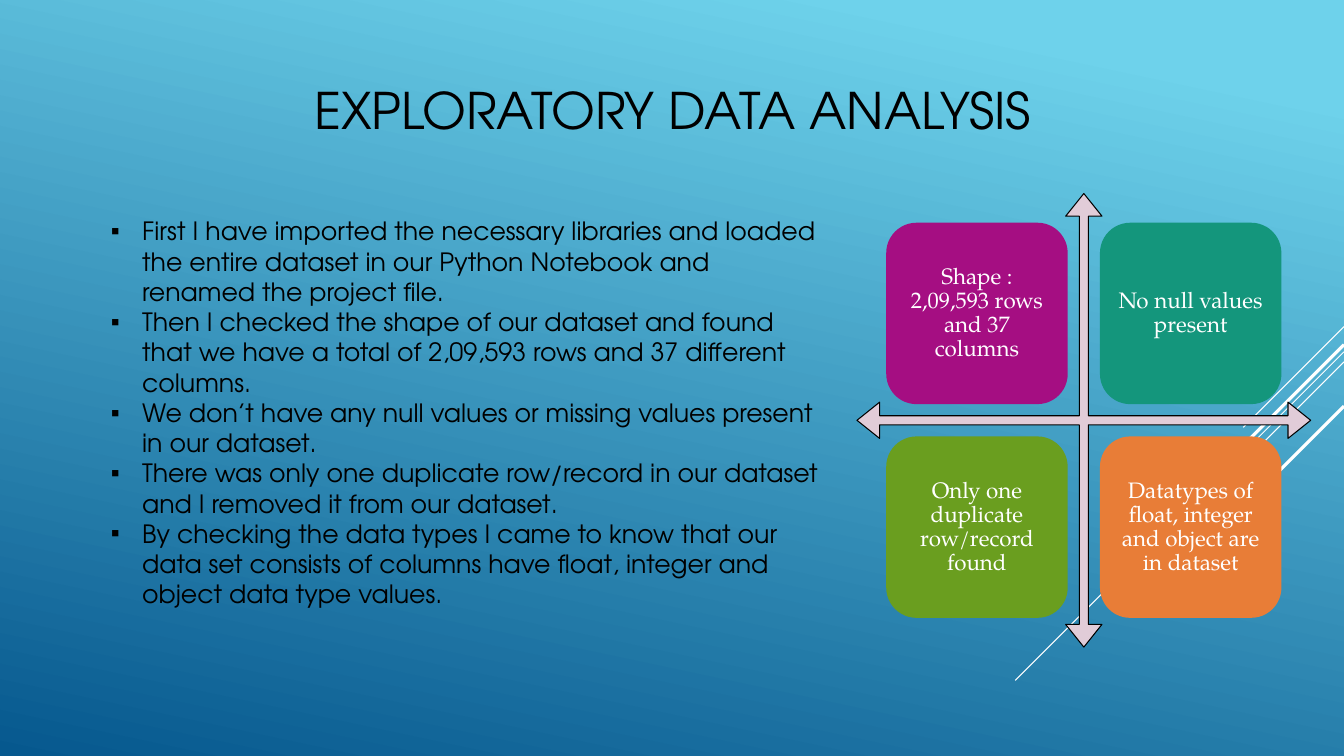
from typing import NamedTuple

from lxml.etree import SubElement
from pptx import Presentation
from pptx.dml.color import RGBColor
from pptx.enum.shapes import MSO_CONNECTOR as CONN, MSO_SHAPE as SHAPE
from pptx.enum.text import MSO_ANCHOR as ANCHOR, MSO_AUTO_SIZE as FIT, PP_ALIGN as ALIGN
from pptx.oxml.ns import qn
from pptx.util import Emu, Pt

PX = 9144  # 100 px to the inch
SANS, SERIF = "TeX Gyre Adventor", "TeX Gyre Pagella"
BLACK, WHITE = "000000", "FFFFFF"
CROSS_X, CROSS_Y, CROSS_SIZE = 1075, 417, 450
TILE, GAP = 180, 32


class Ray(NamedTuple):
    """Diagonal running down and left from the right edge."""
    top: int
    length: int
    width: float


class Tile(NamedTuple):
    text: str
    fill: str


RAYS = [
    Ray(324, 100, 0.75),
    Ray(349, 326, 0.75),
    Ray(359, 207, 0.75),
    Ray(342, 191, 2.25),
    Ray(403, 139, 2.25),
]
TILES = [
    Tile("Shape : 2,09,593 rows and 37 columns", "A50E82"),
    Tile("No null values present", "14967C"),
    Tile("Only one duplicate row/record found", "6A9E1F"),
    Tile("Datatypes of float, integer and object are in dataset", "E87D37"),
]
FINDINGS = [
    "First I have imported the necessary libraries and loaded the entire dataset "
    "in our Python Notebook and renamed the project file.",
    "Then I checked the shape of our dataset and found that we have a total of "
    "2,09,593 rows and 37 different columns.",
    "We don’t have any null values or missing values present in our dataset.",
    "There was only one duplicate row/record in our dataset and I removed it "
    "from our dataset.",
    "By checking the data types I came to know that our data set consists of "
    "columns have float, integer and object data type values.",
]


def px(n: int) -> Emu:
    return Emu(n * PX)


def rgb(value: str) -> RGBColor:
    return RGBColor.from_string(value)


def set_attrs(obj, values: dict) -> None:
    for name, value in values.items():
        setattr(obj, name, value)


def place(sp, left: int, top: int, width: int, height: int) -> None:
    set_attrs(sp, dict(left=px(left), top=px(top), width=px(width), height=px(height)))


def write(p, text: str, size: int, font: str, color: str, **layout) -> None:
    set_attrs(p, layout)
    r = p.add_run()
    r.text = text
    set_attrs(r.font, dict(size=Pt(size), name=font))
    r.font.color.rgb = rgb(color)


def add_bullet(p) -> None:
    pPr = p._p.get_or_add_pPr()
    pPr.set("marL", str(px(31)))
    pPr.set("indent", str(px(-31)))
    SubElement(pPr, qn("a:buFont"), typeface="Arial")
    SubElement(pPr, qn("a:buChar"), char="▪")


def add_ray(s, ray: Ray) -> None:
    line = s.shapes.add_connector(CONN.STRAIGHT, px(1333), px(ray.top),
                                  px(1333 - ray.length), px(ray.top + ray.length))
    line.line.color.rgb = rgb(WHITE)
    line.line.width = Pt(ray.width)
    SubElement(line._element.spPr, qn("a:effectLst"))


def add_box(s, kind: SHAPE, left: int, top: int, size: int, fill: str):
    sp = s.shapes.add_shape(kind, px(left), px(top), px(size), px(size))
    sp.shadow.inherit = False
    sp.fill.solid()
    sp.fill.fore_color.rgb = rgb(fill)
    return sp


def add_tile(s, index: int, tile: Tile) -> None:
    row, col = divmod(index, 2)
    corner, pitch = TILE + GAP // 2, TILE + GAP
    sp = add_box(s, SHAPE.ROUNDED_RECTANGLE, CROSS_X - corner + col * pitch,
                 CROSS_Y - corner + row * pitch, TILE, tile.fill)
    sp.line.fill.background()
    tf = sp.text_frame
    inset = px(7)
    set_attrs(tf, dict(word_wrap=True, vertical_anchor=ANCHOR.MIDDLE,
                       margin_left=inset, margin_right=inset,
                       margin_top=inset, margin_bottom=inset))
    write(tf.paragraphs[0], tile.text, 16, SERIF, WHITE,
          alignment=ALIGN.CENTER, line_spacing=0.9)


def main() -> None:
    prs = Presentation()
    set_attrs(prs, dict(slide_width=px(1333), slide_height=px(750)))
    s = prs.slides.add_slide(prs.slide_layouts[1])

    # Background
    bg = s.background.fill
    bg.gradient()
    bg.gradient_angle = 360 - 102
    for stop, (position, color) in zip(bg.gradient_stops, [(0.1, "6ED2EB"), (1, "06588E")]):
        stop.position = position
        stop.color.rgb = rgb(color)
    for ray in RAYS:
        add_ray(s, ray)

    # Title
    title = s.shapes.title
    place(title, 167, 50, 1000, 117)
    tf = title.text_frame
    set_attrs(tf, dict(auto_size=FIT.NONE, vertical_anchor=ANCHOR.MIDDLE))
    write(tf.paragraphs[0], "EXPLORATORY DATA ANALYSIS", 36, SANS, BLACK,
          alignment=ALIGN.CENTER)

    # Findings list
    body = s.placeholders[1]
    place(body, 100, 209, 725, 404)
    tf = body.text_frame
    set_attrs(tf, dict(auto_size=FIT.NONE, vertical_anchor=ANCHOR.TOP))
    for i, finding in enumerate(FINDINGS):
        p = tf.add_paragraph() if i else tf.paragraphs[0]
        write(p, finding, 18, SANS, BLACK, space_before=Pt(0))
        add_bullet(p)

    # Four-way arrow and its tiles
    half = CROSS_SIZE // 2
    cross = add_box(s, SHAPE.QUAD_ARROW, CROSS_X - half, CROSS_Y - half, CROSS_SIZE, "E1CCD8")
    for i, value in enumerate([0.02, 0.04, 0.05]):
        cross.adjustments[i] = value
    cross.line.color.rgb = rgb(BLACK)
    cross.line.width = Pt(0.75)
    for i, tile in enumerate(TILES):
        add_tile(s, i, tile)

    prs.save("out.pptx")


if __name__ == "__main__":
    main()
